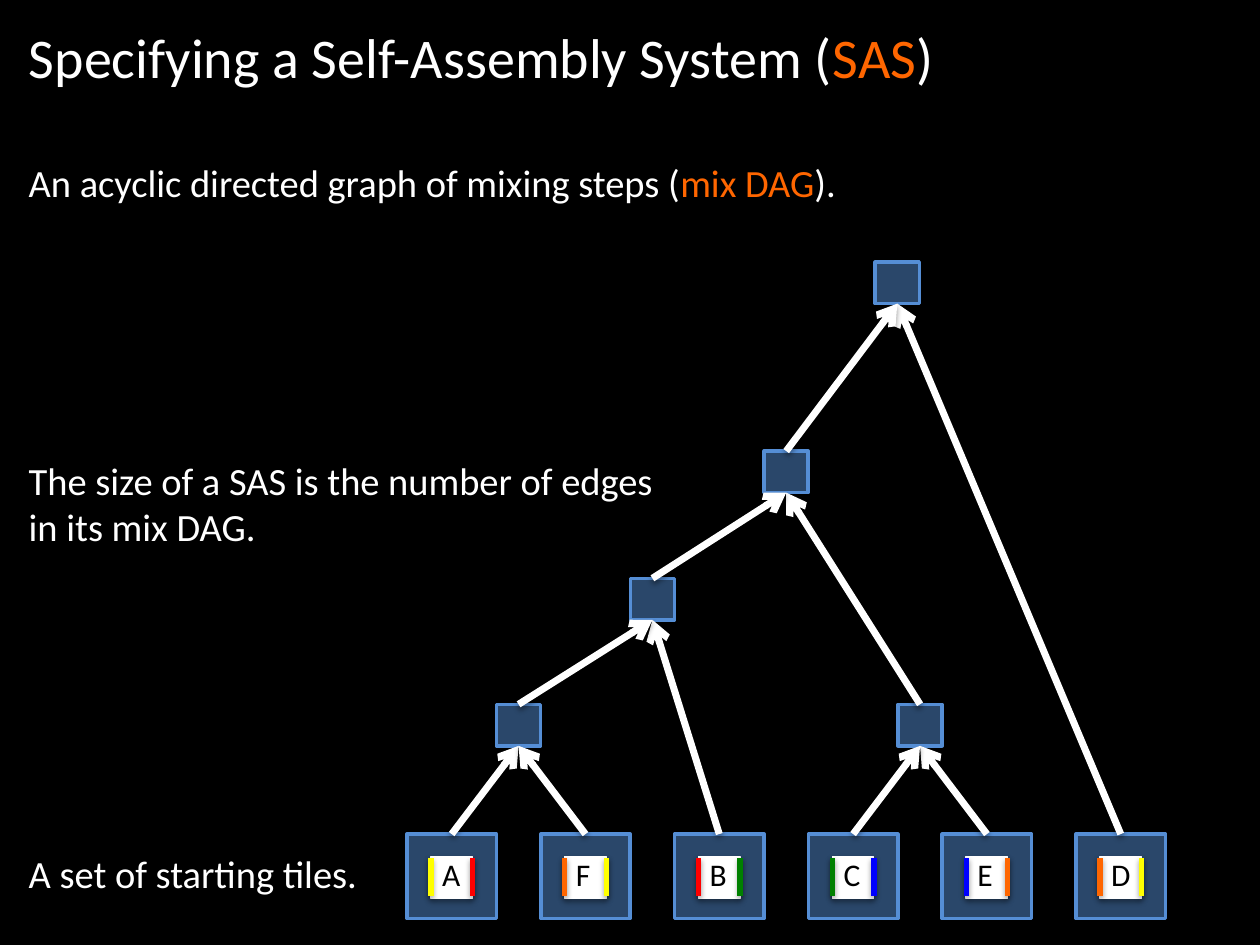
from lxml.etree import SubElement
from pptx import Presentation
from pptx.dml.color import RGBColor
from pptx.enum.shapes import MSO_CONNECTOR, MSO_SHAPE
from pptx.enum.text import MSO_ANCHOR, MSO_AUTO_SIZE, PP_ALIGN
from pptx.oxml.ns import qn
from pptx.util import Inches, Pt

BLACK = RGBColor(0x00, 0x00, 0x00)
WHITE = RGBColor(0xFF, 0xFF, 0xFF)
ORANGE = RGBColor(0xFF, 0x66, 0x00)
YELLOW = RGBColor(0xFF, 0xFF, 0x00)
RED = RGBColor(0xFF, 0x00, 0x00)
GREEN = RGBColor(0x00, 0x80, 0x00)
BLUE = RGBColor(0x00, 0x00, 0xFF)
STEEL = RGBColor(0x55, 0x8E, 0xD5)

TILES = [
    ("A", YELLOW, RED), ("F", ORANGE, YELLOW), ("B", RED, GREEN),
    ("C", GREEN, BLUE), ("E", BLUE, ORANGE), ("D", ORANGE, YELLOW),
]
MIXES = {
    "AF": (0.5, 5.59), "CE": (3.5, 5.59), "AFB": (1.5, 4.59),
    "AFBCE": (2.5, 3.58), "all": (3.33, 2.08),
}
EDGES = [
    ("A", "AF"), ("F", "AF"), ("B", "AFB"), ("AF", "AFB"), ("E", "CE"),
    ("C", "CE"), ("CE", "AFBCE"), ("AFB", "AFBCE"), ("D", "all"), ("AFBCE", "all"),
]
PITCH = 1.062


def write(shape, *lines, size=22, color=WHITE):
    """Fill a shape with lines, each a list of strings or (string, color) pairs."""
    frame = shape.text_frame
    frame.word_wrap = True
    frame.auto_size = MSO_AUTO_SIZE.SHAPE_TO_FIT_TEXT
    frame.vertical_anchor = MSO_ANCHOR.TOP
    for i, line in enumerate(lines):
        para = frame.add_paragraph() if i else frame.paragraphs[0]
        para.alignment = PP_ALIGN.LEFT
        for part in line:
            words, tint = part if isinstance(part, tuple) else (part, color)
            run = para.add_run()
            run.text = words
            run.font.name = "Calibri"
            run.font.size = Pt(size)
            run.font.color.rgb = tint


def label(slide, box, *lines, **style):
    """Add a text box in the given box."""
    write(slide.shapes.add_textbox(*map(Inches, box)), *lines, **style)


def shade(shape, alpha):
    """Give a shape or connector a soft shadow straight below it."""
    effects = SubElement(shape._element.spPr, qn("a:effectLst"))
    outer = SubElement(effects, qn("a:outerShdw"), blurRad=str(Pt(3.1)),
                       dist=str(Pt(1.7)), dir="5400000", rotWithShape="0")
    color = SubElement(outer, qn("a:srgbClr"), val="000000")
    SubElement(color, qn("a:alpha"), val=str(alpha * 1000))


def block(slide, box, fill, width, alpha=100):
    """Add a rectangle with matching fill and outline."""
    rect = slide.shapes.add_shape(MSO_SHAPE.RECTANGLE, *map(Inches, box))
    rect.fill.solid()
    rect.fill.fore_color.rgb = fill
    if alpha < 100:
        tint = rect._element.spPr.find(qn("a:solidFill"))[0]
        SubElement(tint, qn("a:alpha"), val=str(alpha * 1000))
    rect.line.color.rgb = fill
    rect.line.width = Pt(width)
    shade(rect, 35)
    return rect


def stroke(slide, ends, color, width, arrow=False):
    """Add a straight line between two points."""
    line = slide.shapes.add_connector(MSO_CONNECTOR.STRAIGHT, *ends)
    line.line.color.rgb = color
    line.line.width = Pt(width)
    if arrow:
        SubElement(line.line._get_or_add_ln(), qn("a:tailEnd"), type="arrow")
    shade(line, 38)
    return line


def link(slide, low, high):
    """Join the top of one block to the bottom of another with an arrow."""
    line = stroke(slide, (0, 0, 0, 0), WHITE, 4, arrow=True)
    line.begin_connect(low, 0)
    line.end_connect(high, 2)


def tile(slide, box, name, left, right):
    """Draw a lettered tile with a coloured glue on each side."""
    x, y, w, h = box
    block(slide, box, WHITE, 0.75)
    for side, color in ((x, left), (x + w, right)):
        ends = map(Inches, (side, y + 0.01, side, y + h - 0.02))
        stroke(slide, ends, color, 3)
    label(slide, (x - 0.01, y - 0.06, 0.38, 0.4), [name], size=18, color=BLACK)


def graph(slide, box):
    """Draw the mix graph with its row of starting tiles at the foot of the box."""
    x, y, w, h = box
    wide, tall = 0.71, 0.67
    base = y + h - tall
    nodes = {}
    for i, (name, _, _) in enumerate(TILES):
        nodes[name] = block(slide, (x + i * PITCH, base, wide, tall), STEEL, 2, 50)
    for name, (col, top) in MIXES.items():
        nodes[name] = block(slide, (x + col * PITCH + 0.18, top, 0.35, 0.33), STEEL, 2, 50)
    for low, high in EDGES:
        link(slide, nodes[low], nodes[high])
    for i, item in enumerate(TILES):
        tile(slide, (x + i * PITCH + 0.19, base + 0.18, 0.33, 0.33), *item)


def head(slide, box):
    """Place the title in the box."""
    title = slide.shapes.title
    title.left, title.top, title.width, title.height = map(Inches, box)
    write(title, ["Specifying a Self-Assembly System (", ("SAS", ORANGE), ")"], size=32)


def notes(slide, box):
    """Place the three remarks down the left side of the box."""
    x, y, w, h = box
    label(slide, (x, y, w, 0.47),
          ["An acyclic directed graph of mixing steps (", ("mix DAG", ORANGE), ")."])
    label(slide, (x, y + 2.37, w, 0.84),
          ["The size of a SAS is the number of edges"], ["in its mix DAG."])
    label(slide, (x, y + h - 0.47, 2.94, 0.47), ["A set of starting tiles."])


def main():
    """Build and save the slide."""
    deck = Presentation()
    deck.slide_width, deck.slide_height = Inches(10), Inches(7.5)
    slide = deck.slides.add_slide(deck.slide_layouts[5])
    slide.background.fill.solid()
    slide.background.fill.fore_color.rgb = BLACK
    head(slide, (0.13, 0.13, 8.99, 0.64))
    notes(slide, (0.13, 1.21, 9.87, 5.96))
    graph(slide, (3.23, 2.08, 6.02, 5.21))
    deck.save("out.pptx")


if __name__ == "__main__":
    main()
